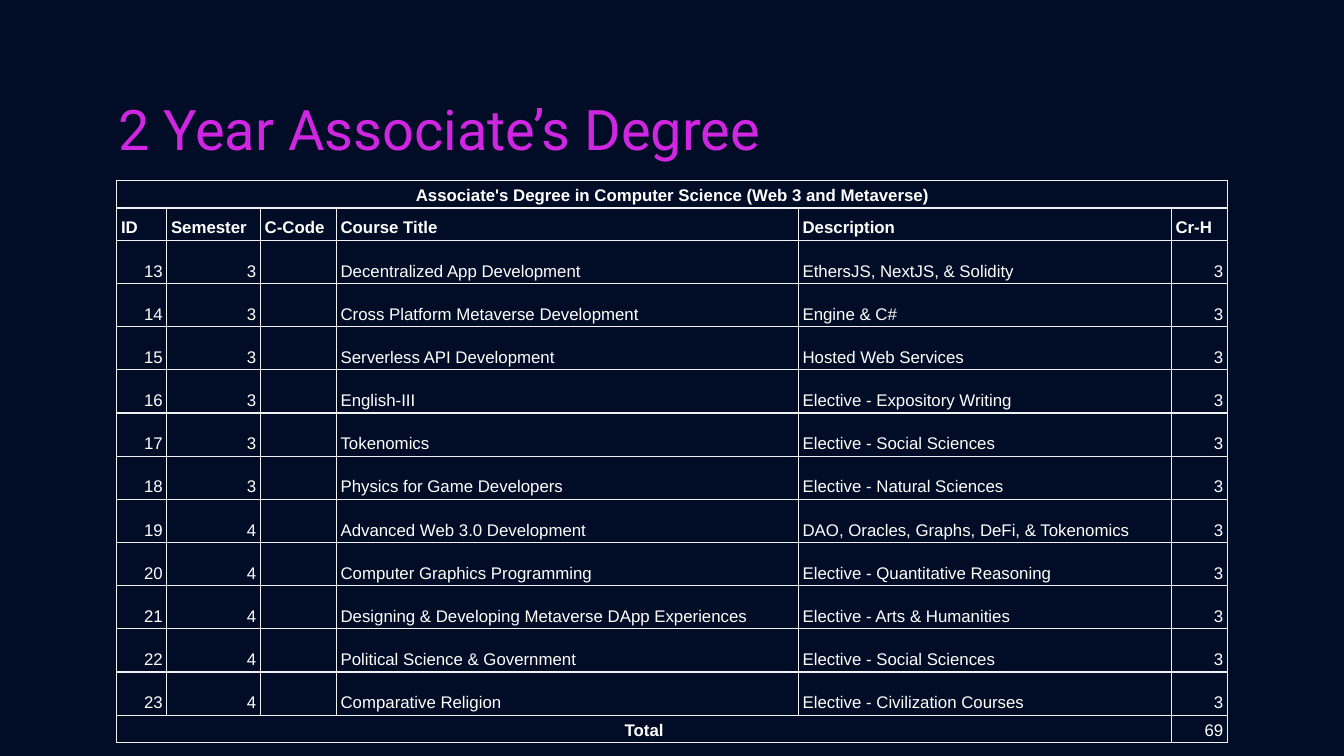
from lxml import etree
from pptx import Presentation
from pptx.dml.color import RGBColor
from pptx.enum import text
from pptx.oxml import ns
from pptx.util import Pt

LEFT, MID, RIGHT = text.PP_ALIGN.LEFT, text.PP_ALIGN.CENTER, text.PP_ALIGN.RIGHT

HEADS = ["ID", "Semester", "C-Code", "Course Title", "Description", "Cr-H"]
ALIGNS = [RIGHT, RIGHT, LEFT, LEFT, LEFT, RIGHT]
WIDTHS = [26.8, 50.2, 40.7, 247.5, 199.8, 30]
FIRST_ID = 13
COURSES = [
    (3, "Decentralized App Development", "EthersJS, NextJS, & Solidity"),
    (3, "Cross Platform Metaverse Development", "Engine & C#"),
    (3, "Serverless API Development", "Hosted Web Services"),
    (3, "English-III", "Elective - Expository Writing"),
    (3, "Tokenomics", "Elective - Social Sciences"),
    (3, "Physics for Game Developers", "Elective - Natural Sciences"),
    (4, "Advanced Web 3.0 Development", "DAO, Oracles, Graphs, DeFi, & Tokenomics"),
    (4, "Computer Graphics Programming", "Elective - Quantitative Reasoning"),
    (4, "Designing & Developing Metaverse DApp Experiences",
     "Elective - Arts & Humanities"),
    (4, "Political Science & Government", "Elective - Social Sciences"),
    (4, "Comparative Religion", "Elective - Civilization Courses"),
]


def color(code):
    return RGBColor.from_string(code)


class Deck:
    back, accent, ink, rule = "010D26", "D026E1", "FFFFFF", "F2F2F2"

    def __init__(self, wide, high):
        self.prs = Presentation()
        self.prs.slide_width, self.prs.slide_height = Pt(wide), Pt(high)
        self.slide = self.prs.slides.add_slide(self.prs.slide_layouts[6])
        fill = self.slide.background.fill
        fill.solid()
        fill.fore_color.rgb = color(self.back)

    def style(self, para, face, size, code, bold=False):
        for run in para.runs:
            font = run.font
            font.name, font.size, font.bold = face, Pt(size), bold
            font.color.rgb = color(code)

    def title(self, words, x, y, w, h):
        frame = self.slide.shapes.add_textbox(Pt(x), Pt(y), Pt(w), Pt(h)).text_frame
        frame.word_wrap = True
        frame.vertical_anchor = text.MSO_ANCHOR.MIDDLE
        frame.margin_left = frame.margin_right = Pt(7.2)
        frame.margin_top = frame.margin_bottom = Pt(7.2)
        frame.text = words
        self.style(frame.paragraphs[0], "Roboto", 30, self.accent)

    def table(self, x, y, widths, heights):
        grid = self.slide.shapes.add_table(
            len(heights), len(widths), Pt(x), Pt(y),
            Pt(sum(widths)), Pt(sum(heights))).table
        grid.first_row = grid.horz_banding = False
        for col, width in zip(grid.columns, widths):
            col.width = Pt(width)
        for row, height in zip(grid.rows, heights):
            row.height = Pt(height)
        for cell in grid.iter_cells():
            cell.margin_left = cell.margin_right = Pt(2.25)
            cell.margin_top = cell.margin_bottom = Pt(1.5)
            cell.vertical_anchor = text.MSO_ANCHOR.BOTTOM
            self.border(cell)
            cell.fill.background()
        return grid

    def border(self, cell):
        props = cell._tc.get_or_add_tcPr()
        for side in ("lnL", "lnR", "lnT", "lnB"):
            line = etree.SubElement(props, ns.qn("a:" + side), w=str(Pt(0.75)))
            fill = etree.SubElement(line, ns.qn("a:solidFill"))
            etree.SubElement(fill, ns.qn("a:srgbClr"), val=self.rule)

    def cell(self, cell, words, align=LEFT, bold=False):
        cell.text = str(words)
        para = cell.text_frame.paragraphs[0]
        para.alignment, para.line_spacing = align, 1.15
        self.style(para, "Arial", 9, self.ink, bold)

    def empty(self, cell):
        """Keep an empty cell from stretching its row."""
        para = cell.text_frame.paragraphs[0]
        etree.SubElement(para._p, ns.qn("a:endParaRPr"), sz="900")


def main():
    deck = Deck(720, 405)
    heights = [14.85, 17.3] + [23.14] * len(COURSES) + [14.6]
    grid = deck.table(62.6, 96.6, WIDTHS, heights)
    last = len(heights) - 1

    grid.cell(0, 0).merge(grid.cell(0, 5))
    deck.cell(grid.cell(0, 0),
              "Associate's Degree in Computer Science (Web 3 and Metaverse)", MID, True)
    for col, head in enumerate(HEADS):
        deck.cell(grid.cell(1, col), head, bold=True)

    for num, (term, course, about) in enumerate(COURSES):
        values = [FIRST_ID + num, term, None, course, about, 3]
        for col, (value, align) in enumerate(zip(values, ALIGNS)):
            cell = grid.cell(num + 2, col)
            if value is None:
                deck.empty(cell)
            else:
                deck.cell(cell, value, align)

    grid.cell(last, 0).merge(grid.cell(last, 4))
    deck.cell(grid.cell(last, 0), "Total", MID, True)
    deck.cell(grid.cell(last, 5), 69, RIGHT)

    deck.title("2 Year Associate’s Degree", 56.2, 46.1, 572.4, 45.4)
    deck.prs.save("out.pptx")


if __name__ == "__main__":
    main()
